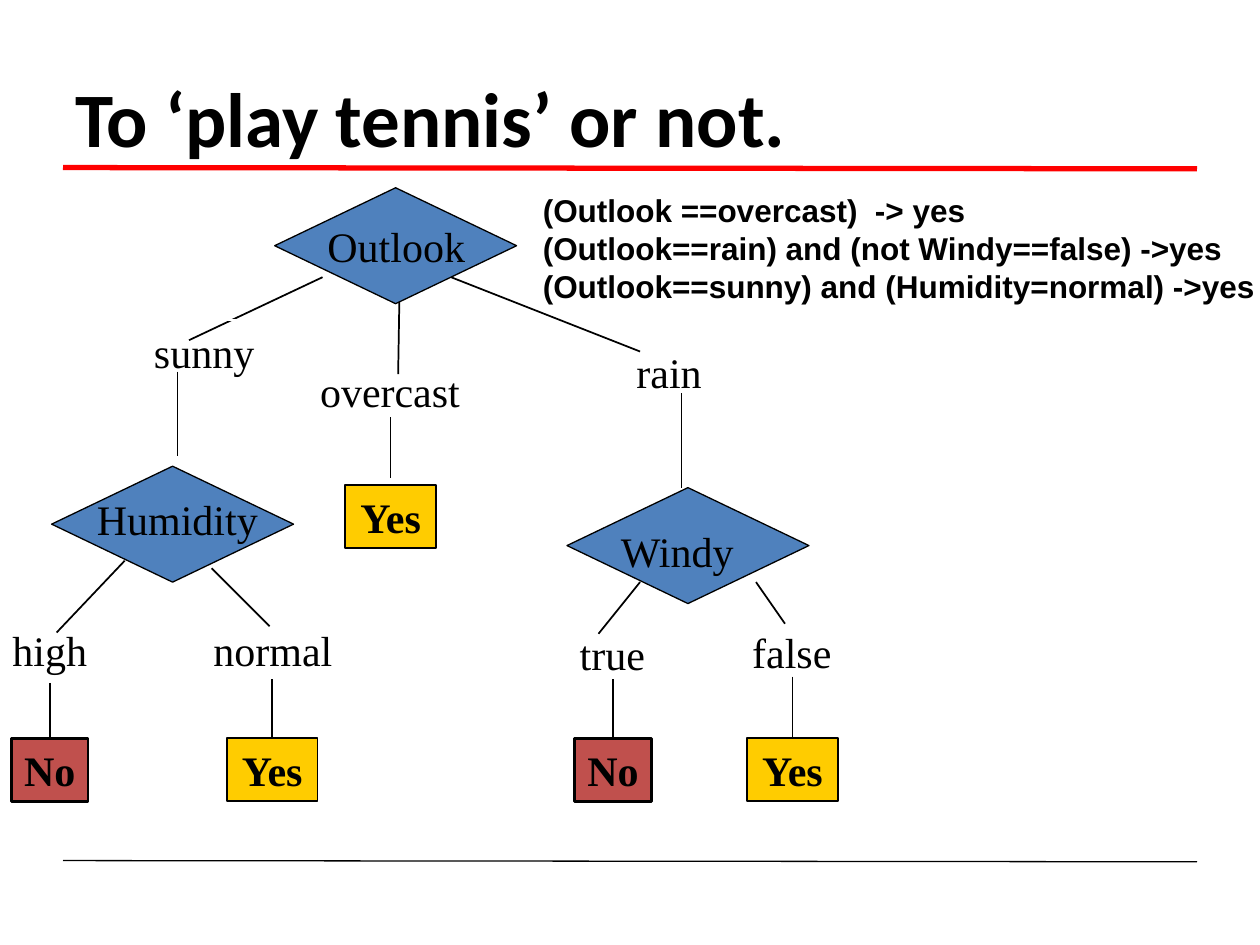
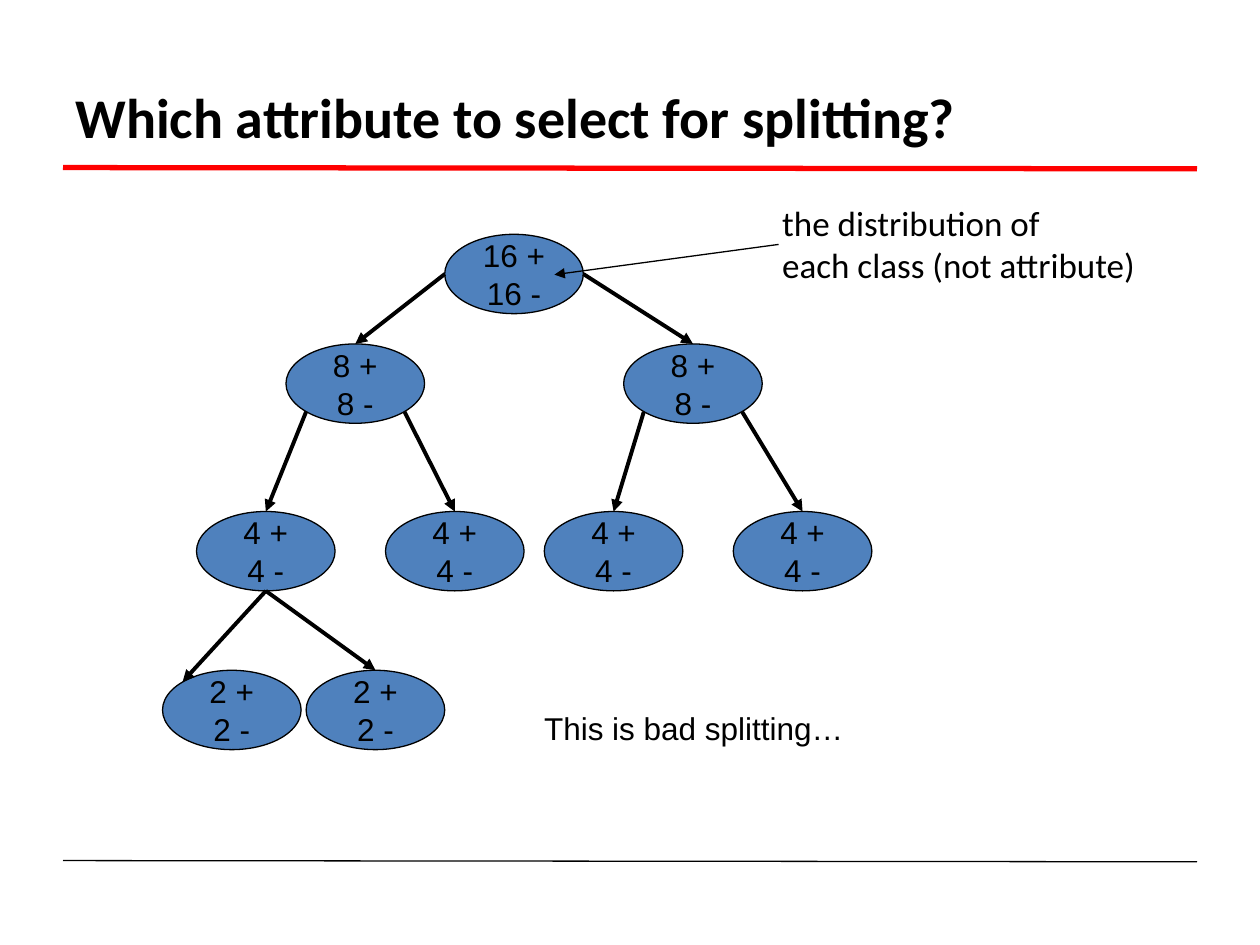
import pptx
import pptx.util
import pptx.dml.color
import pptx.enum.shapes
import pptx.enum.text
import pptx.oxml.ns
from lxml import etree

Inches = pptx.util.Inches
SHAPE = pptx.enum.shapes.MSO_SHAPE
ALIGN = pptx.enum.text.PP_ALIGN
ANCHOR = pptx.enum.text.MSO_ANCHOR

# Shared look
BLACK, WHITE, RED = "000000", "FFFFFF", "FF0000"
NODE_BLUE, NO_RED, YES_GOLD = "4F81BD", "C0504D", "FFCC00"
SERIF, SANS, TITLE_FONT = "Times New Roman", "Arial", "Calibri"
BANDS = [(1.33, RED, 3), (6.83, BLACK, 0.75)]  # top, colour, width

# Tennis slide
TENNIS_TITLE = "To ‘play tennis’ or not."
RULES = "\n".join([
    "(Outlook ==overcast)  -> yes",
    "(Outlook==rain) and (not Windy==false) ->yes",
    "(Outlook==sunny) and (Humidity=normal) ->yes",
])
BRANCH_LABELS = [  # text, left, top, width
    ("overcast", 2.44, 2.85, 1.31),
    ("high", 0, 4.91, 0.79),
    ("normal", 1.59, 4.91, 1.15),
    ("false", 5.87, 4.92, 0.83),
    ("true", 4.5, 4.94, 0.72),
    ("sunny", 1.12, 2.54, 1),
    ("rain", 4.95, 2.7, 0.72),
]
BRANCHES = [  # start, end
    ((2.56, 2.2), (1.5, 2.7)),
    ((3.17, 2.37), (3.16, 2.97)),
    ((3.58, 2.2), (5.08, 2.79)),
    ((0.99, 4.45), (0.45, 5.02)),
    ((1.68, 4.51), (2.14, 4.97)),
    ((5.08, 4.62), (4.75, 5.03)),
    ((6, 4.62), (6.23, 4.95)),
    ((3.1, 3.31), (3.1, 3.79)),
]
DECISION_STEMS = [
    ((1.41, 2.95), (1.41, 3.62)),
    ((5.41, 3.12), (5.41, 3.87)),
]
ANSWER_STYLE = {"No": (0.61, NO_RED, 1.5), "Yes": (0.72, YES_GOLD, 1)}
ANSWERS = [  # text, left, top, start of the stem that ends on the box
    ("No", 0.09, 5.86, 5.42),
    ("No", 4.56, 5.86, 5.39),
    ("Yes", 1.8, 5.86, 5.39),
    ("Yes", 5.93, 5.86, 5.37),
    ("Yes", 2.74, 3.85, None),
]
DECISIONS = [  # text, diamond corner, text corner, text width
    ("Outlook", (2.18, 1.49), (2.5, 1.7), 1.29),
    ("Humidity", (0.41, 3.7), (0.67, 3.87), 1.48),
    ("Windy", (4.5, 3.87), (4.83, 4.12), 1.1),
]

# Splitting slide
SPLIT_TITLE = "Which attribute to select for splitting?"
NODE_W, NODE_H = 1.1, 0.63
LEVELS = [  # count of each class, top, lefts
    (16, 1.86, [3.53]),
    (8, 2.73, [2.27, 4.95]),
    (4, 4.06, [1.56, 3.06, 4.32, 5.82]),
    (2, 5.32, [1.29, 2.43]),
]
SPLITS = [  # parent, site on parent, child, site on child
    (0, "left", 1, "top"), (0, "right", 2, "top"),
    (1, "lower left", 3, "top"), (1, "lower right", 4, "top"),
    (2, "lower left", 5, "top"), (2, "lower right", 6, "top"),
    (3, "bottom", 7, "upper left"), (3, "bottom", 8, "top"),
]
DIAGONAL = 0.71
SITES = {  # offsets from the centre, in half widths and half heights
    "top": (0, -1), "bottom": (0, 1), "left": (-1, 0), "right": (1, 0),
    "lower left": (-DIAGONAL, DIAGONAL), "lower right": (DIAGONAL, DIAGONAL),
    "upper left": (-DIAGONAL, -DIAGONAL),
}


def rgb(colour):
    return pptx.dml.color.RGBColor.from_string(colour)


def write(shape, text, size, font, bold=False, align=ALIGN.LEFT,
          anchor=ANCHOR.TOP, wrap=False):
    frame = shape.text_frame
    frame.text = text
    frame.word_wrap = wrap
    frame.vertical_anchor = anchor
    for paragraph in frame.paragraphs:
        paragraph.alignment = align
        for run in paragraph.runs:
            run.font.size = pptx.util.Pt(size)
            run.font.name = font
            run.font.bold = bold
            run.font.color.rgb = rgb(BLACK)


def add_text(slide, box, text, size, font, **style):
    label = slide.shapes.add_textbox(*map(Inches, box))
    write(label, text, size, font, **style)
    return label


def add_box(slide, kind, box, fill, line_width):
    shape = slide.shapes.add_shape(kind, *map(Inches, box))
    shape.shadow.inherit = False
    shape.fill.solid()
    shape.fill.fore_color.rgb = rgb(fill)
    shape.line.color.rgb = rgb(BLACK)
    shape.line.width = pptx.util.Pt(line_width)
    return shape


def add_line(slide, start, end, width, colour=BLACK, arrow=False):
    line = slide.shapes.add_connector(
        pptx.enum.shapes.MSO_CONNECTOR.STRAIGHT, *map(Inches, (*start, *end)))
    line.line.color.rgb = rgb(colour)
    line.line.width = pptx.util.Pt(width)
    qn = pptx.oxml.ns.qn
    if arrow:
        outline = line.line._get_or_add_ln()
        etree.SubElement(outline, qn("a:tailEnd"), type="triangle")
    etree.SubElement(line._element.spPr, qn("a:effectLst"))
    return line


def new_slide(deck, title, size):
    slide = deck.slides.add_slide(deck.slide_layouts[6])
    for top, colour, width in BANDS:
        add_line(slide, (0.5, top), (9.5, top + 0.01), width, colour)
    add_text(slide, (0.5, 0.3, 9, 1.25), title, size, TITLE_FONT, bold=True,
             anchor=ANCHOR.MIDDLE, wrap=True)
    return slide


def build_tennis(deck):
    slide = new_slide(deck, TENNIS_TITLE, 44)

    # Branches and their labels
    for start, end in BRANCHES:
        add_line(slide, start, end, 1)
    for text, left, top, width in BRANCH_LABELS:
        label = add_text(slide, (left, top, width, 0.5), text, 24, SERIF,
                         align=ALIGN.CENTER)
        if text == "sunny":
            label.line.color.rgb = rgb(WHITE)
            label.line.width = pptx.util.Pt(1)

    # Answers with their stems
    for text, left, top, stem_top in ANSWERS:
        width, fill, line_width = ANSWER_STYLE[text]
        answer = add_box(slide, SHAPE.RECTANGLE, (left, top, width, 0.5),
                         fill, line_width)
        write(answer, text, 24, SERIF, bold=True, align=ALIGN.CENTER)
        if stem_top:
            middle = left + width / 2
            stem = add_line(slide, (middle, stem_top), (middle, top), 1)
            stem.end_connect(answer, 0)

    # Decisions with their stems
    for text, diamond, corner, width in DECISIONS:
        add_box(slide, SHAPE.DIAMOND, (*diamond, 1.92, 0.92), NODE_BLUE, 0.75)
        add_text(slide, (*corner, width, 0.5), text, 24, SERIF)
    for start, end in DECISION_STEMS:
        add_line(slide, start, end, 0.75)

    # Rules, in a box wide enough for the longest one
    add_text(slide, (4.21, 1.47, 6, 1), RULES, 18, SANS, bold=True)


def site_point(corner, site):
    across, down = SITES[site]
    return (corner[0] + NODE_W / 2 * (1 + across),
            corner[1] + NODE_H / 2 * (1 + down))


def build_splitting(deck):
    slide = new_slide(deck, SPLIT_TITLE, 32)

    # Nodes, level by level
    corners, nodes = [], []
    for count, top, lefts in LEVELS:
        for left in lefts:
            node = add_box(slide, SHAPE.OVAL, (left, top, NODE_W, NODE_H),
                           NODE_BLUE, 0.75)
            write(node, f"{count} +\n{count} -", 18, SANS,
                  align=ALIGN.CENTER, anchor=ANCHOR.MIDDLE)
            corners.append((left, top))
            nodes.append(node)

    # Arrows from parent to child
    for parent, parent_site, child, child_site in SPLITS:
        arrow = add_line(slide, site_point(corners[parent], parent_site),
                         site_point(corners[child], child_site), 2.25,
                         arrow=True)
        if child_site == "top":
            arrow.end_connect(nodes[child], 0)

    # Remarks
    add_text(slide, (4.22, 5.58, 2.8, 0.4), "This is bad splitting…", 18, SANS)
    add_line(slide, (6.18, 1.94), (4.4, 2.18), 0.75, arrow=True)
    add_text(slide, (6.11, 1.55, 3.2, 1.1),
             "the distribution of\neach class (not attribute)", 20, TITLE_FONT)


def main():
    deck = pptx.Presentation()
    deck.slide_width, deck.slide_height = Inches(10), Inches(7.5)
    build_tennis(deck)
    build_splitting(deck)
    deck.save("out.pptx")


if __name__ == "__main__":
    main()
